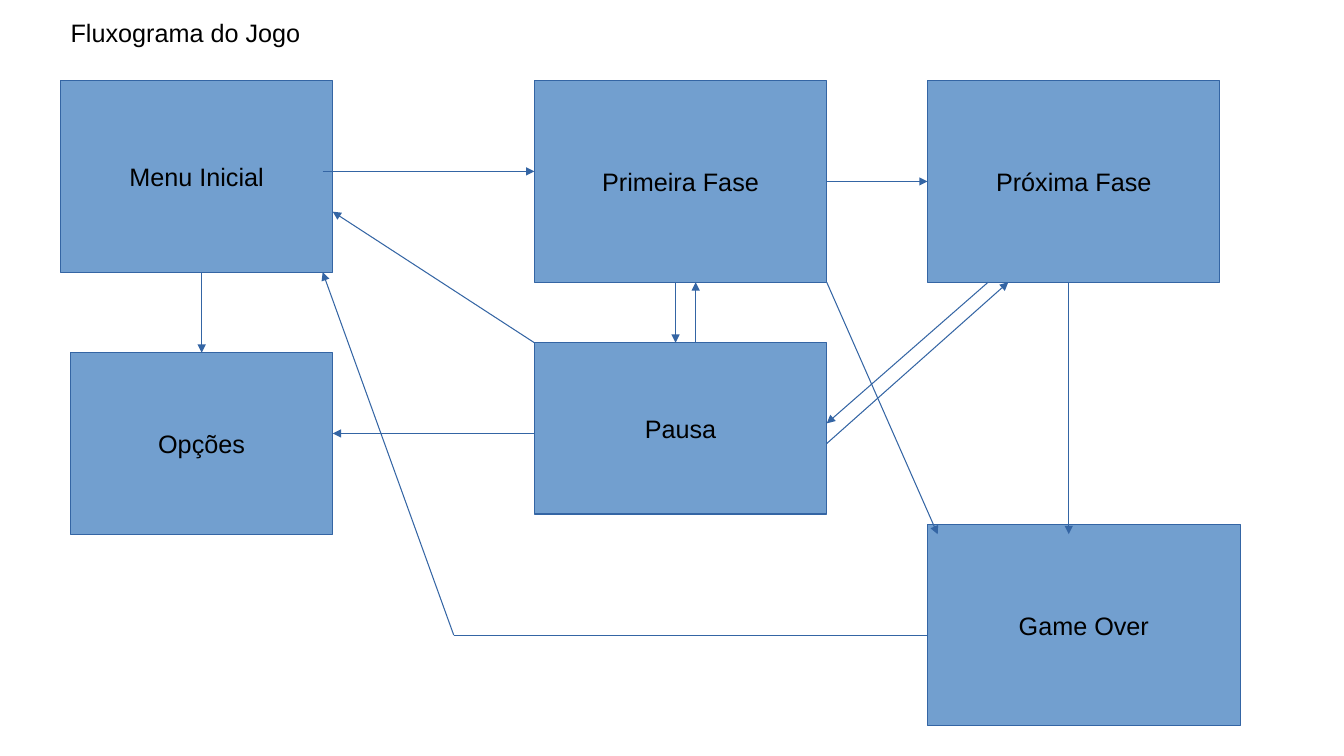
from lxml import etree
from pptx import Presentation, util as u
from pptx.dml import color
from pptx.enum import shapes, text
from pptx.oxml import ns

TOP, LEFT, BOTTOM, RIGHT = range(4)  # connection sites of a rectangle


def rgb(value):
    return color.RGBColor.from_string(value)


def grid(units):
    """Length of a number of grid columns or rows, ten to the inch."""
    return u.Inches(units / 10)


class Flowchart:
    font, size = "Arial", u.Pt(18)
    ink, fill, outline = "000000", "729FCF", "3465A4"
    stroke = u.Pt(0.75)

    def __init__(self, slide):
        self.slide = slide

    def label(self, shape, words, alignment, anchor):
        frame = shape.text_frame
        frame.word_wrap = True
        frame.auto_size = text.MSO_AUTO_SIZE.NONE
        frame.vertical_anchor = anchor
        paragraph = frame.paragraphs[0]
        paragraph.alignment = alignment
        run = paragraph.add_run()
        run.text = words
        run.font.name, run.font.size = self.font, self.size
        run.font.color.rgb = rgb(self.ink)

    def title(self, words, column, row, columns, rows):
        title = self.slide.shapes.title
        title.left, title.top = grid(column), grid(row)
        title.width, title.height = grid(columns), grid(rows)
        self.label(title, words, text.PP_ALIGN.LEFT, text.MSO_ANCHOR.TOP)

    def box(self, words, column, row, columns, rows):
        box = self.slide.shapes.add_shape(
            shapes.MSO_SHAPE.RECTANGLE,
            grid(column), grid(row), grid(columns), grid(rows))
        box.shadow.inherit = False
        box.fill.solid()
        box.fill.fore_color.rgb = rgb(self.fill)
        box.line.color.rgb = rgb(self.outline)
        box.line.width = self.stroke
        self.label(box, words, text.PP_ALIGN.CENTER, text.MSO_ANCHOR.MIDDLE)
        return box

    def line(self, start, end, arrow=True):
        connector = self.slide.shapes.add_connector(
            shapes.MSO_CONNECTOR.STRAIGHT, *map(grid, start + end))
        connector.line.color.rgb = rgb(self.outline)
        connector.line.width = self.stroke
        properties = connector._element.spPr
        if arrow:
            etree.SubElement(properties.find(ns.qn("a:ln")),
                             ns.qn("a:tailEnd"), type="triangle")
        etree.SubElement(properties, ns.qn("a:effectLst"))
        return connector


def main():
    presentation = Presentation()
    presentation.slide_width = u.Inches(13.33)
    presentation.slide_height = u.Inches(7.5)
    title_only = presentation.slide_layouts[5]
    chart = Flowchart(presentation.slides.add_slide(title_only))

    chart.title("Fluxograma do Jogo", 6, 1.2, 45, 3.8)

    # Game screens: column, row, columns, rows
    chart.box("Menu Inicial", 6, 8, 27, 19)
    first_stage = chart.box("Primeira Fase", 53, 8, 29, 20)
    chart.box("Pausa", 53, 34, 29, 17)
    options = chart.box("Opções", 7, 35, 26, 18)
    chart.box("Game Over", 92, 52, 31, 20)
    next_stage = chart.box("Próxima Fase", 92, 8, 29, 20)

    # Arrows that meet the middle of a side
    to_next = chart.line((82, 18), (92, 18))
    to_next.begin_connect(first_stage, RIGHT)
    to_next.end_connect(next_stage, LEFT)
    to_options = chart.line((20, 27), (20, 35))
    to_options.end_connect(options, TOP)

    # Free arrows
    for start, end in (
        ((32, 17), (53, 17)),    # menu to first stage
        ((67, 28), (67, 34)),    # first stage to pause
        ((69, 34), (69, 28)),    # and back
        ((53, 34), (33, 21)),    # pause to menu
        ((53, 43), (33, 43)),    # pause to options
        ((82, 28), (93, 53)),    # first stage to game over
        ((106, 28), (106, 53)),  # next stage to game over
        ((98, 28), (82, 42)),    # next stage to pause
        ((82, 44), (100, 28)),   # and back
    ):
        chart.line(start, end)

    # Game over back to the menu, around a corner
    corner = (45, 63)
    chart.line(corner, (92, 63), arrow=False)
    chart.line(corner, (32, 27))

    presentation.save("out.pptx")


if __name__ == "__main__":
    main()
